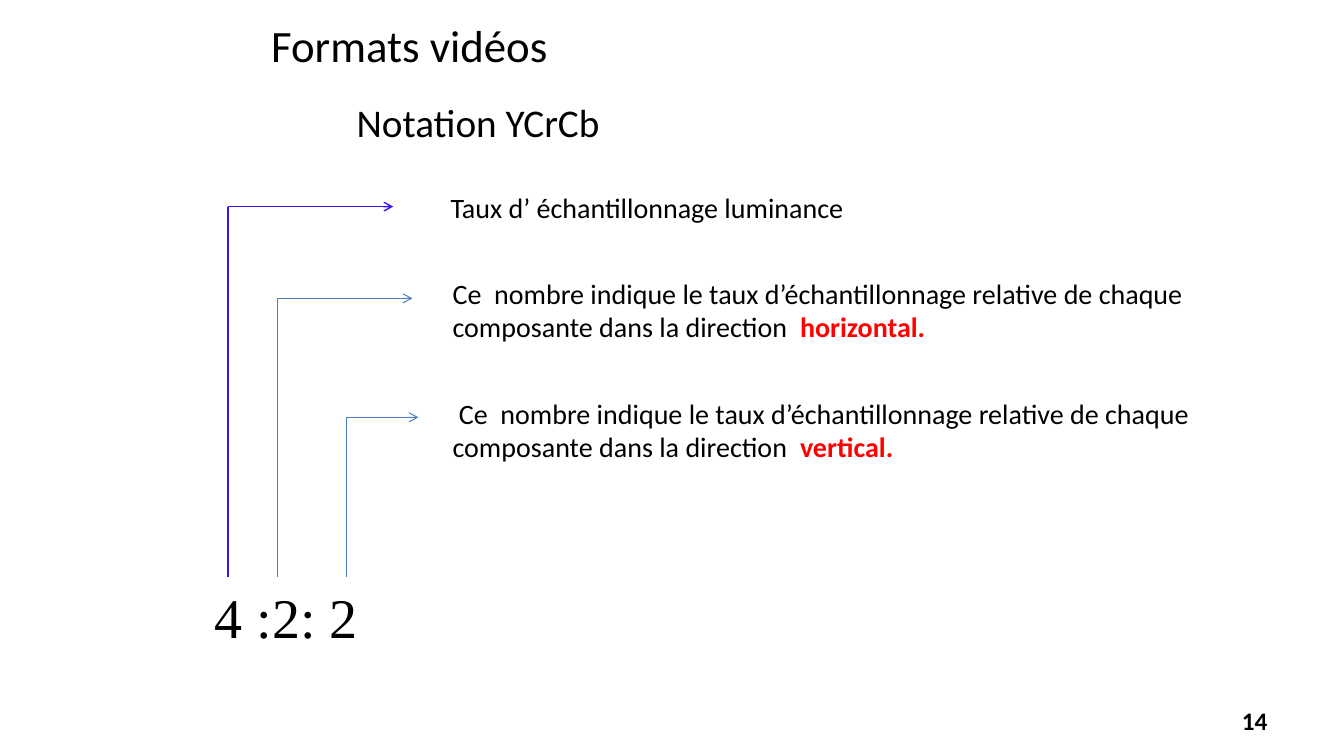
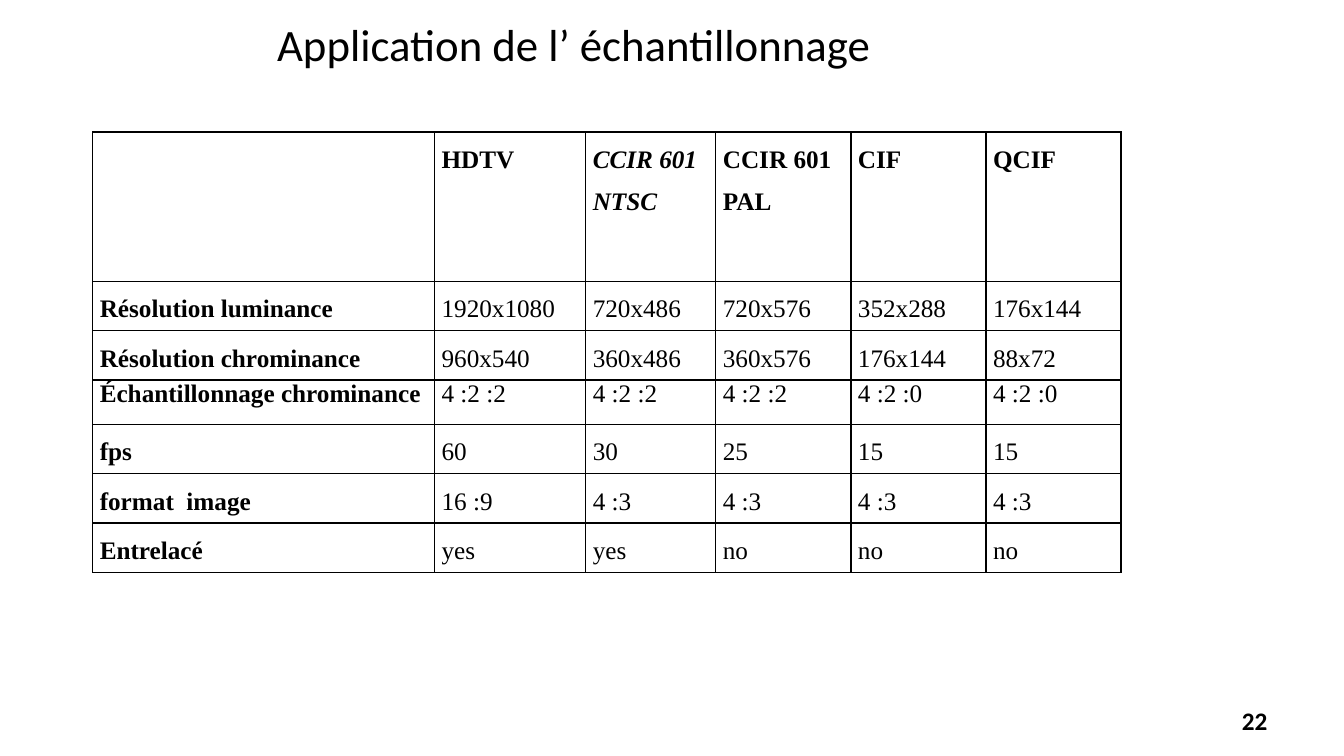
from dataclasses import dataclass

import pptx
import pptx.dml.color
import pptx.enum.shapes
import pptx.enum.text
import pptx.oxml.ns
import pptx.util
from lxml import etree
from pptx.util import Inches

RGBColor = pptx.dml.color.RGBColor
BLACK = RGBColor(0x00, 0x00, 0x00)
RED = RGBColor(0xFF, 0x00, 0x00)
VIOLET = RGBColor(0x38, 0x12, 0xF4)
STEEL = RGBColor(0x4B, 0x7E, 0xBC)
SANS = "Calibri"
SERIF = "Times New Roman"
LINE_START = 5.72  # level just above the 4:2:2 digits


@dataclass
class Caption:
    """A text box, optionally ending in a highlighted word."""
    text: str
    left: float
    top: float
    width: float
    height: float
    size: float = 20
    font: str = SANS
    highlight: str = ""
    wrap: bool = True


@dataclass
class Pointer:
    """A line rising from a digit, then an arrow to its explanation."""
    left: float
    top: float
    right: float
    color: RGBColor
    weight: float


def style_run(run, size: float, font: str = SANS, color: RGBColor = BLACK,
              bold: bool = False, italic: bool = False) -> None:
    run.font.size = pptx.util.Pt(size)
    run.font.name = font
    run.font.color.rgb = color
    run.font.bold = bold
    run.font.italic = italic


def add_caption(slide, caption: Caption):
    box = slide.shapes.add_textbox(Inches(caption.left), Inches(caption.top),
                                   Inches(caption.width), Inches(caption.height))
    frame = box.text_frame
    frame.word_wrap = caption.wrap
    frame.text = caption.text
    paragraph = frame.paragraphs[0]
    style_run(paragraph.runs[0], caption.size, caption.font)
    if caption.highlight:
        word = paragraph.add_run()
        word.text = caption.highlight
        style_run(word, caption.size, caption.font, RED, bold=True)
    return frame


def add_title(slide, text: str, left: float, top: float, width: float) -> None:
    add_caption(slide, Caption(text, left, top, width, 0.64, size=32))


def add_page_number(slide, number: int) -> None:
    frame = add_caption(slide, Caption(str(number), 9.56, 6.95, 3.11, 0.4, size=18))
    frame.vertical_anchor = pptx.enum.text.MSO_ANCHOR.MIDDLE
    frame.paragraphs[0].alignment = pptx.enum.text.PP_ALIGN.RIGHT
    frame.paragraphs[0].runs[0].font.bold = True


def add_line(slide, x1: float, y1: float, x2: float, y2: float,
             pointer: Pointer, arrow: bool = False) -> None:
    line = slide.shapes.add_connector(
        pptx.enum.shapes.MSO_CONNECTOR.STRAIGHT,
        Inches(x1), Inches(y1), Inches(x2), Inches(y2))
    line.line.color.rgb = pointer.color
    line.line.width = pptx.util.Pt(pointer.weight)
    properties = line.line._get_or_add_ln()
    if arrow:
        etree.SubElement(properties, pptx.oxml.ns.qn("a:tailEnd"), type="arrow")
    etree.SubElement(properties.getparent(), pptx.oxml.ns.qn("a:effectLst"))


def add_pointer(slide, pointer: Pointer) -> None:
    add_line(slide, pointer.left, pointer.top, pointer.right, pointer.top, pointer, arrow=True)
    add_line(slide, pointer.left, pointer.top, pointer.left, LINE_START, pointer)


def add_borders(cell) -> None:
    qn = pptx.oxml.ns.qn
    properties = cell._tc.get_or_add_tcPr()
    for side in ("a:lnL", "a:lnR", "a:lnT", "a:lnB"):
        border = etree.SubElement(properties, qn(side), w=str(pptx.util.Pt(1)))
        fill = etree.SubElement(border, qn("a:solidFill"))
        etree.SubElement(fill, qn("a:srgbClr"), val=str(BLACK))


def fill_cell(cell, text: str, bold: bool, italic: bool, spacing: float) -> None:
    cell.margin_left = cell.margin_right = Inches(0.07)
    cell.margin_top = cell.margin_bottom = 0
    add_borders(cell)
    cell.fill.background()
    cell.text_frame.text = text
    for paragraph in cell.text_frame.paragraphs:
        paragraph.line_spacing = spacing
        for run in paragraph.runs:
            style_run(run, 18, SERIF, bold=bold, italic=italic)


# Content of the notation slide
POINTERS = [
    Pointer(2.26, 2.05, 3.9, VIOLET, 1),
    Pointer(2.75, 2.96, 4.09, STEEL, 0.75),
    Pointer(3.44, 4.14, 4.15, STEEL, 0.75),
]
RATE = ("Ce  nombre indique le taux d’échantillonnage relative de chaque "
        "composante dans la direction  ")
CAPTIONS = [
    Caption("Notation YCrCb", 3.44, 0.93, 2.64, 0.57, size=28, wrap=False),
    Caption("Taux d’ échantillonnage luminance", 4.37, 1.84, 4.5, 0.44),
    Caption(RATE, 4.39, 2.69, 8.58, 0.77, highlight="horizontal."),
    Caption(" " + RATE, 4.39, 3.88, 8.44, 0.77, highlight="vertical."),
    Caption("4 :2: 2", 2.03, 5.73, 1.96, 0.77, size=40, font=SERIF),
]

# Content of the format table
FORMATS = [
    ["", "HDTV", "CCIR 601\nNTSC", "CCIR 601\nPAL", "CIF", "QCIF"],
    ["Résolution luminance", "1920x1080", "720x486", "720x576", "352x288", "176x144"],
    ["Résolution chrominance", "960x540", "360x486", "360x576", "176x144", "88x72"],
    ["Échantillonnage chrominance", "4 :2 :2", "4 :2 :2", "4 :2 :2", "4 :2 :0", "4 :2 :0"],
    ["fps", "60", "30", "25", "15", "15"],
    ["format  image", "16 :9", "4 :3", "4 :3", "4 :3", "4 :3"],
    ["Entrelacé", "yes", "yes", "no", "no", "no"],
]
COLUMN_WIDTHS = [3.39, 1.5, 1.29, 1.34, 1.34, 1.34]
ROW_HEIGHTS = [1.48, 0.49, 0.49, 0.44, 0.49, 0.49, 0.49]
SAMPLING_ROW = 3  # the only single-spaced row
ITALIC_CELL = (0, 2)


def build_notation(slide) -> None:
    add_title(slide, " Formats vidéos", 2.49, 0.13, 3.45)
    for caption in CAPTIONS:
        add_caption(slide, caption)
    for pointer in POINTERS:
        add_pointer(slide, pointer)
    add_page_number(slide, 14)


def build_formats(slide) -> None:
    add_title(slide, "Application de l’ échantillonnage", 2.65, 0.12, 6.26)
    formats = slide.shapes.add_table(
        len(ROW_HEIGHTS), len(COLUMN_WIDTHS), Inches(0.92), Inches(1.31),
        Inches(sum(COLUMN_WIDTHS)), Inches(sum(ROW_HEIGHTS))).table
    formats.first_row = formats.horz_banding = False
    for column, width in zip(formats.columns, COLUMN_WIDTHS):
        column.width = Inches(width)
    for row, height in zip(formats.rows, ROW_HEIGHTS):
        row.height = Inches(height)
    for r, values in enumerate(FORMATS):
        for c, value in enumerate(values):
            fill_cell(formats.cell(r, c), value,
                      bold=r == 0 or c == 0,
                      italic=(r, c) == ITALIC_CELL,
                      spacing=1.0 if r == SAMPLING_ROW else 1.5)
    add_page_number(slide, 22)


def main() -> None:
    deck = pptx.Presentation()
    deck.slide_width = Inches(13.33)
    deck.slide_height = Inches(7.5)
    blank = deck.slide_layouts[6]
    for build in (build_notation, build_formats):
        build(deck.slides.add_slide(blank))
    deck.save("out.pptx")


if __name__ == "__main__":
    main()
